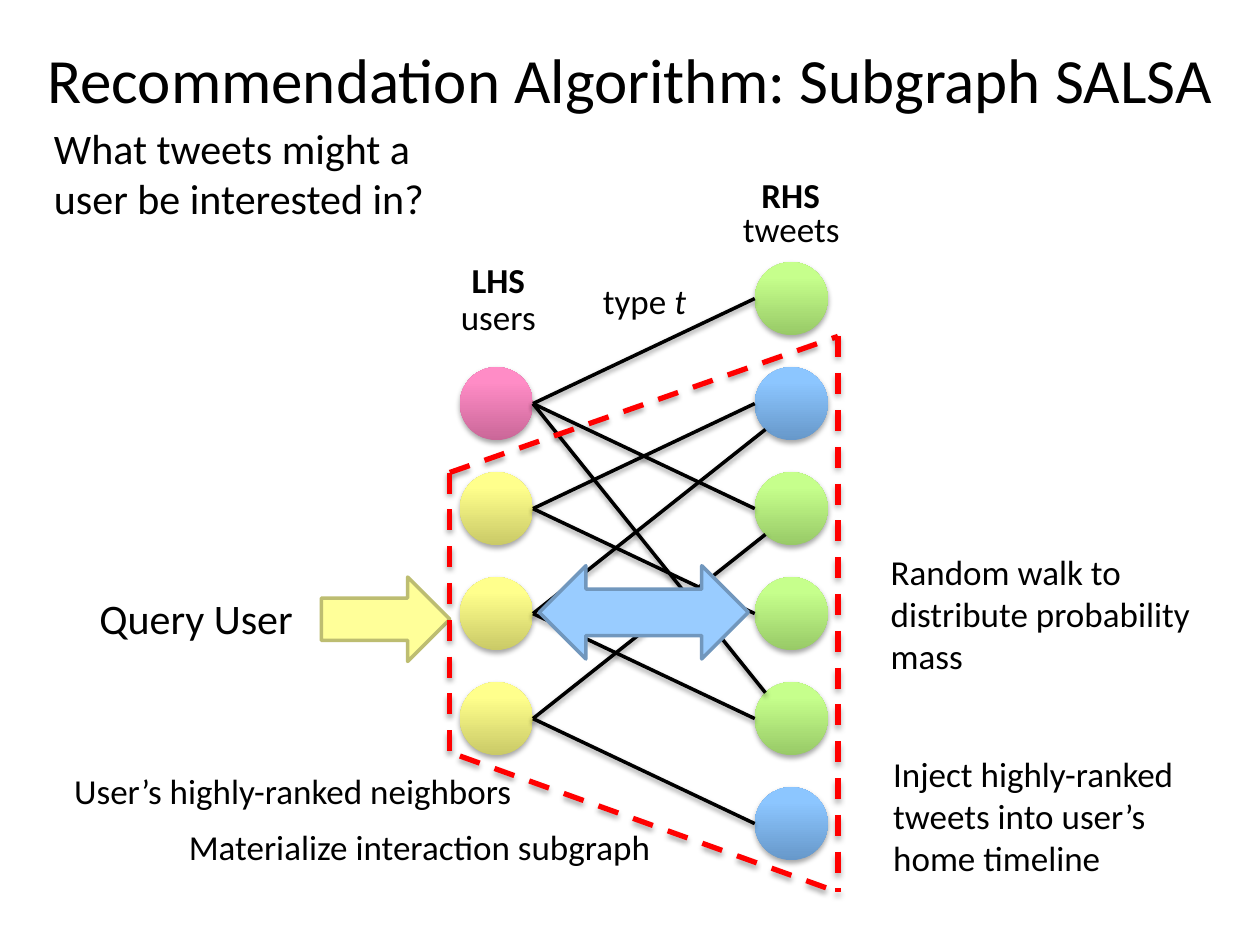
from copy import deepcopy
from dataclasses import dataclass
from math import cos, pi

from lxml import etree
from pptx import Presentation
from pptx.dml.color import RGBColor
from pptx.enum import dml, shapes, text
from pptx.oxml import ns
from pptx.util import Inches, Pt


@dataclass(frozen=True)
class Theme:
    font: str = "Calibri"
    title: int = 36
    lead: int = 24
    label: int = 20
    ink: str = "000000"
    boundary: str = "FF0000"
    # Gradients run from the dark bottom to the light top
    pink: tuple = ("CA6798", "FF8CC6", "FF8EC7")
    yellow: tuple = ("CACA67", "FFFF8C", "FFFF8E")
    green: tuple = ("98CA67", "C6FF8C", "C7FF8E")
    blue: tuple = ("6798CA", "8CC6FF", "8EC7FF")
    # Arrow fill and outline
    query: tuple = ("FFFF99", "BDBD71")
    walk: tuple = ("99CCFF", "7197BD")


THEME = Theme()

# Bipartite graph grid: rows count down from the topmost tweet
NODE = 0.58
USER_X, TWEET_X = 3.65, 5.99
FIRST_ROW, ROW_STEP = 2.08, 5 / 6
USERS = {1: THEME.pink, 2: THEME.yellow, 3: THEME.yellow, 4: THEME.yellow}
TWEETS = [THEME.green, THEME.blue, THEME.green,
          THEME.green, THEME.green, THEME.blue]
# User row, tweet row, and where the edge meets the tweet:
# 0 at its left, 1 at its lower left, -1 at its upper left
EDGES = [(1, 0, 0), (1, 2, 0), (1, 4, -1), (2, 1, 0), (2, 3, 0),
         (3, 1, 1), (3, 4, 0), (4, 5, 0), (4, 2, 1)]

# Dashed outline of the subgraph
SUBGRAPH = [((3.57, 3.75), (6.65, 2.67)), ((3.57, 3.75), (3.57, 6)),
            ((6.65, 2.67), (6.65, 7.08)), ((3.65, 6), (6.65, 7.08))]

# Left, top, width, height, wording
HEADINGS = [
    (3.08, 2.3, 1.75, 0.44, "users", False),
    (4.99, 1.6, 2.58, 0.44, "tweets", False),
    (3.08, 2, 1.75, 0.44, "LHS", True),
    (5.4, 1.33, 1.75, 0.44, "RHS", True),
]
LEADS = [
    (0.33, 0.92, 3.45, 0.91, "What tweets might a user be interested in?"),
    (0.69, 4.65, 2.11, 0.5, "Query User"),
]
STEPS = [
    (0.49, 6.06, 4.07, 0.44, "User’s highly-ranked neighbors"),
    (1.4, 6.5, 4.07, 0.44, "Materialize interaction subgraph"),
    (6.97, 4.32, 2.68, 1.11, "Random walk to distribute probability mass"),
    (6.99, 5.92, 2.68, 1.11,
     "Inject highly-ranked tweets into user’s home timeline"),
]


def rgb(color):
    return RGBColor.from_string(color)


def row_top(row):
    return FIRST_ROW + row * ROW_STEP


def add_shadow(element, opacity=35, distance=1.8):
    """Soft shadow straight below a shape or connector."""
    properties = element.spPr
    effects = properties.find(ns.qn("a:effectLst"))
    if effects is None:
        effects = etree.SubElement(properties, ns.qn("a:effectLst"))
    shadow = etree.SubElement(
        effects, ns.qn("a:outerShdw"), blurRad=str(Pt(3.1)),
        dist=str(Pt(distance)), dir="5400000", rotWithShape="0")
    color = etree.SubElement(shadow, ns.qn("a:srgbClr"), val=THEME.ink)
    etree.SubElement(color, ns.qn("a:alpha"), val=str(opacity * 1000))


def style_run(run, size, bold=False, italic=False):
    run.font.name = THEME.font
    run.font.size = Pt(size)
    run.font.color.rgb = rgb(THEME.ink)
    run.font.bold = bold
    run.font.italic = italic


def add_title(slide, wording):
    title = slide.shapes.title
    title.left, title.top = Inches(0), Inches(0.25)
    title.width, title.height = Inches(10), Inches(0.75)
    frame = title.text_frame
    frame.text = wording
    frame.vertical_anchor = text.MSO_ANCHOR.MIDDLE
    frame.paragraphs[0].alignment = text.PP_ALIGN.CENTER
    style_run(frame.paragraphs[0].runs[0], THEME.title)


def add_label(slide, left, top, width, height, wording, size=THEME.label,
              bold=False, centered=False):
    label = slide.shapes.add_textbox(
        Inches(left), Inches(top), Inches(width), Inches(height))
    frame = label.text_frame
    frame.word_wrap = True
    frame.auto_size = text.MSO_AUTO_SIZE.SHAPE_TO_FIT_TEXT
    frame.text = wording
    paragraph = frame.paragraphs[0]
    paragraph.alignment = (text.PP_ALIGN.CENTER if centered
                           else text.PP_ALIGN.LEFT)
    style_run(paragraph.runs[0], size, bold)
    return paragraph


def add_node(slide, left, row, gradient):
    node = slide.shapes.add_shape(
        shapes.MSO_SHAPE.OVAL, Inches(left), Inches(row_top(row)),
        Inches(NODE), Inches(NODE))
    node.fill.gradient()
    node.fill.gradient_angle = 90
    stop_list = node.element.spPr.find(".//" + ns.qn("a:gsLst"))
    stop_list.append(deepcopy(stop_list[-1]))
    for stop, color, position in zip(node.fill.gradient_stops, gradient,
                                     (0, 0.8, 1)):
        stop.color.rgb = rgb(color)
        stop.position = position
    node.line.fill.background()
    node.shadow.inherit = False
    add_shadow(node.element)


def add_line(slide, start, end, color, width):
    line = slide.shapes.add_connector(
        shapes.MSO_CONNECTOR.STRAIGHT, *map(Inches, (*start, *end)))
    line.line.color.rgb = rgb(color)
    line.line.width = Pt(width)
    return line


def add_edge(slide, user, tweet, side):
    radius = NODE / 2
    reach = radius * cos(pi / 4)
    start = USER_X + NODE, row_top(user) + radius
    end = (TWEET_X + (radius - reach if side else 0),
           row_top(tweet) + radius + side * reach)
    edge = add_line(slide, start, end, THEME.ink, 2)
    add_shadow(edge.element, opacity=38, distance=1.6)


def add_boundary(slide, start, end):
    boundary = add_line(slide, start, end, THEME.boundary, 3)
    boundary.line.dash_style = dml.MSO_LINE.DASH
    add_shadow(boundary.element)


def add_arrow(slide, kind, left, top, width, height, colors):
    arrow = slide.shapes.add_shape(
        kind, Inches(left), Inches(top), Inches(width), Inches(height))
    fill, outline = colors
    arrow.fill.solid()
    arrow.fill.fore_color.rgb = rgb(fill)
    arrow.line.color.rgb = rgb(outline)
    arrow.line.width = Pt(2)
    arrow.shadow.inherit = False


def main():
    deck = Presentation()
    deck.slide_width, deck.slide_height = Inches(10), Inches(7.5)
    slide = deck.slides.add_slide(deck.slide_layouts[5])
    add_title(slide, "Recommendation Algorithm: Subgraph SALSA")

    # Users, tweets and their interactions
    for row, gradient in USERS.items():
        add_node(slide, USER_X, row, gradient)
    for row, gradient in enumerate(TWEETS):
        add_node(slide, TWEET_X, row, gradient)
    for edge in EDGES:
        add_edge(slide, *edge)

    # Column headings and edge type
    for *place, wording, bold in HEADINGS:
        add_label(slide, *place, wording, bold=bold, centered=True)
    edge_type = add_label(slide, 4.24, 2.17, 1.75, 0.44, "type ",
                          centered=True)
    symbol = edge_type.add_run()
    symbol.text = "t"
    style_run(symbol, THEME.label, italic=True)

    # Subgraph, query and random walk
    add_arrow(slide, shapes.MSO_SHAPE.RIGHT_ARROW,
              2.55, 4.58, 1.02, 0.67, THEME.query)
    for side in SUBGRAPH:
        add_boundary(slide, *side)
    add_arrow(slide, shapes.MSO_SHAPE.LEFT_RIGHT_ARROW,
              4.28, 4.49, 1.66, 0.74, THEME.walk)

    # Question and explanations
    for lead in LEADS:
        add_label(slide, *lead, size=THEME.lead)
    for step in STEPS:
        add_label(slide, *step)

    deck.save("out.pptx")


if __name__ == "__main__":
    main()
